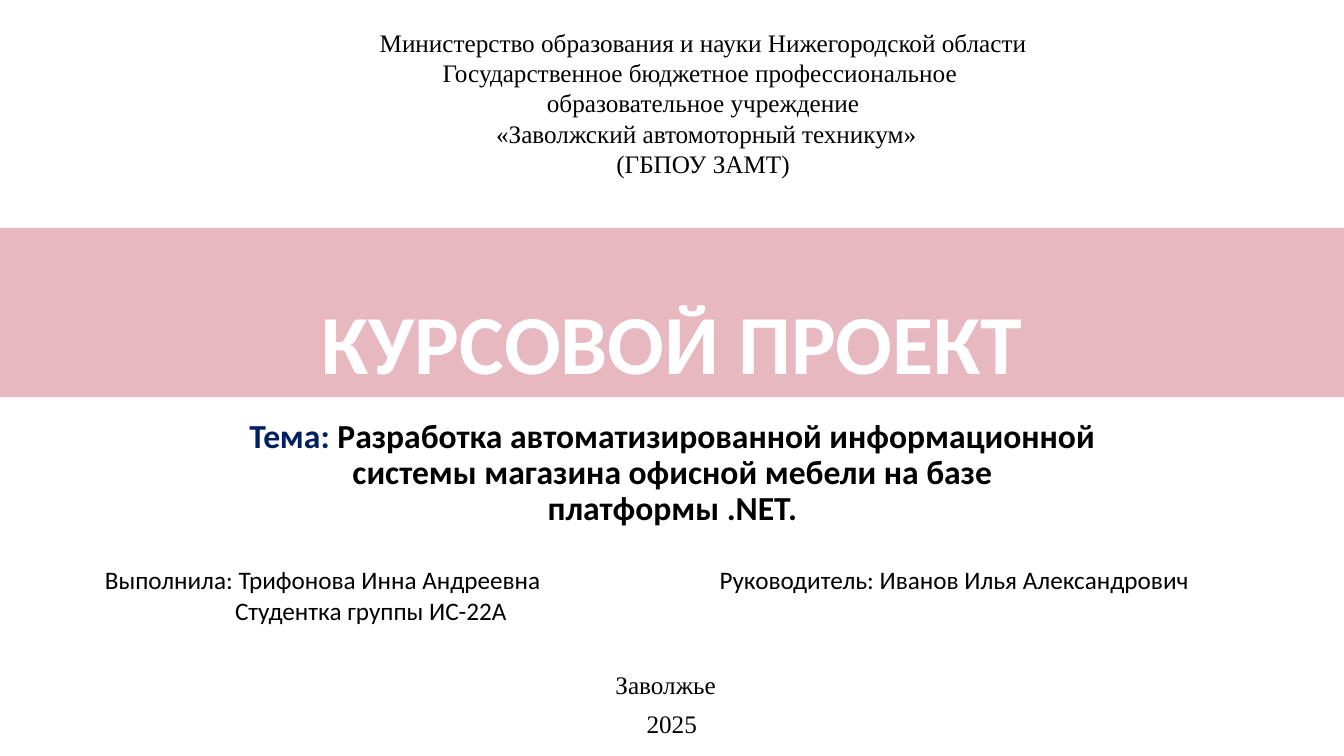
from pptx import Presentation
from pptx.dml.color import RGBColor
from pptx.enum.shapes import MSO_SHAPE as Shape
from pptx.enum.text import MSO_ANCHOR as Anchor, PP_ALIGN as Align
from pptx.util import Cm, Pt

SERIF = "Times New Roman"
WIDTH, HEIGHT = 33.87, 19.05


def color(value):
    return RGBColor.from_string(value)


def write(paragraph, text, font="Calibri", size=18, ink="000000", bold=False):
    """Add text to a paragraph; a newline becomes a line break."""
    for index, line in enumerate(text.split("\n")):
        if index:
            paragraph.add_line_break()
        span = paragraph.add_run()
        span.text = line
        span.font.name = font
        span.font.size = Pt(size)
        span.font.bold = bold
        span.font.color.rgb = color(ink)


def layout(paragraph, align=Align.LEFT, spacing=None, before=0, indent=0):
    paragraph.alignment = align
    paragraph.space_before = Pt(before)
    if spacing:
        paragraph.line_spacing = spacing
    if indent:
        paragraph._p.get_or_add_pPr().set("marL", str(Cm(indent)))


class TitlePage:
    def __init__(self, deck):
        self.page = deck.slides.add_slide(deck.slide_layouts[6])

    def band(self, top, height, fill, text):
        box = self.page.shapes.add_shape(
            Shape.RECTANGLE, 0, Cm(top), Cm(WIDTH), Cm(height))
        box.shadow.inherit = False
        box.fill.solid()
        box.fill.fore_color.rgb = color(fill)
        box.line.fill.background()
        frame = box.text_frame
        frame.word_wrap = True
        frame.vertical_anchor = Anchor.BOTTOM
        para = frame.paragraphs[0]
        layout(para, Align.CENTER, spacing=0.9)
        write(para, text, size=60, ink="FFFFFF", bold=True)

    def text(self, left, top, width, height, paragraphs):
        """Each paragraph is (spans, layout); each span is (text, format)."""
        box = self.page.shapes.add_textbox(
            Cm(left), Cm(top), Cm(width), Cm(height))
        box.text_frame.word_wrap = True
        self.fill_frame(box.text_frame, paragraphs)

    def table(self, left, top, widths, height, cells):
        table = self.page.shapes.add_table(
            1, len(widths), Cm(left), Cm(top), Cm(sum(widths)), Cm(height)).table
        table.first_row = table.horz_banding = False
        for index, (width, paragraphs) in enumerate(zip(widths, cells)):
            table.columns[index].width = Cm(width)
            cell = table.cell(0, index)
            cell.fill.background()
            self.fill_frame(cell.text_frame, paragraphs)

    def fill_frame(self, frame, paragraphs):
        for index, (spans, options) in enumerate(paragraphs):
            para = frame.add_paragraph() if index else frame.paragraphs[0]
            layout(para, **options)
            for text, style in spans:
                write(para, text, **style)


def main():
    deck = Presentation()
    deck.slide_width, deck.slide_height = Cm(WIDTH), Cm(HEIGHT)
    page = TitlePage(deck)
    serif = {"font": SERIF}
    centered = {"align": Align.CENTER}

    # Title band
    page.band(5.74, 4.27, "E7B8BF", "КУРСОВОЙ ПРОЕКТ")

    # Topic
    topic = {"size": 24, "bold": True}
    page.text(5.97, 10.44, 21.95, 3.28, [(
        [("Тема: ", {**topic, "ink": "002060"}),
         ("Разработка автоматизированной информационной системы магазина "
          "офисной мебели на базе платформы .NET.", topic)],
        {**centered, "spacing": 0.9})])

    # Institution
    institution = [
        "Министерство образования и науки Нижегородской области",
        "Государственное бюджетное профессиональное \nобразовательное учреждение",
        " «Заволжский автомоторный техникум»",
        "(ГБПОУ ЗАМТ)",
    ]
    page.text(8.46, 0.56, 18.52, 4.11,
              [([(line, serif)], centered) for line in institution])

    # Student and supervisor
    page.table(2.39, 14.12, [15.49, 14.3], 1.78, [
        [([("Выполнила: Трифонова Инна Андреевна", {})], {}),
         ([("Студентка группы ИС-22А", {})], {"indent": 3.28})],
        [([("Руководитель: Иванов Илья Александрович", {})], {})],
    ])

    # Place and year
    page.text(14.76, 16.74, 4.34, 2.01, [
        ([("Заволжье", serif)], {"align": Align.JUSTIFY, "indent": 0.5}),
        ([("2025", serif)], {**centered, "before": 6}),
    ])

    deck.save("out.pptx")


if __name__ == "__main__":
    main()
